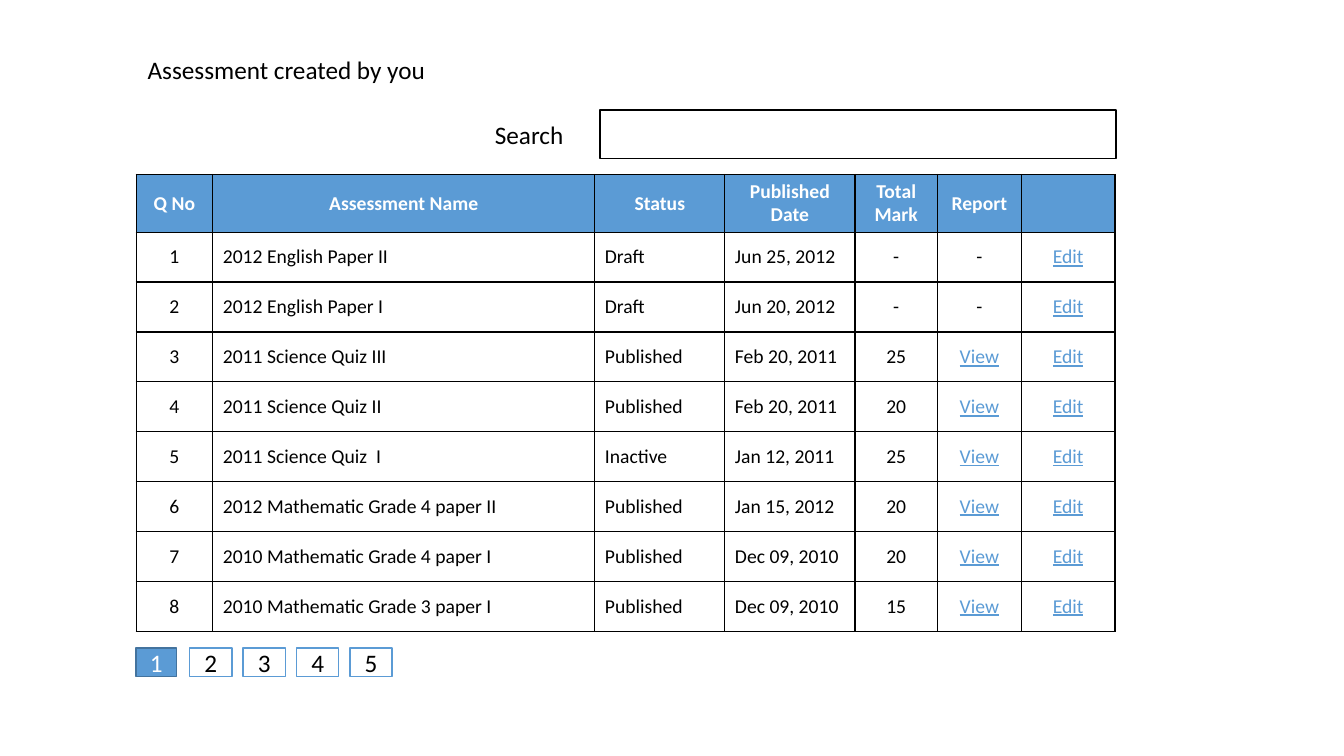
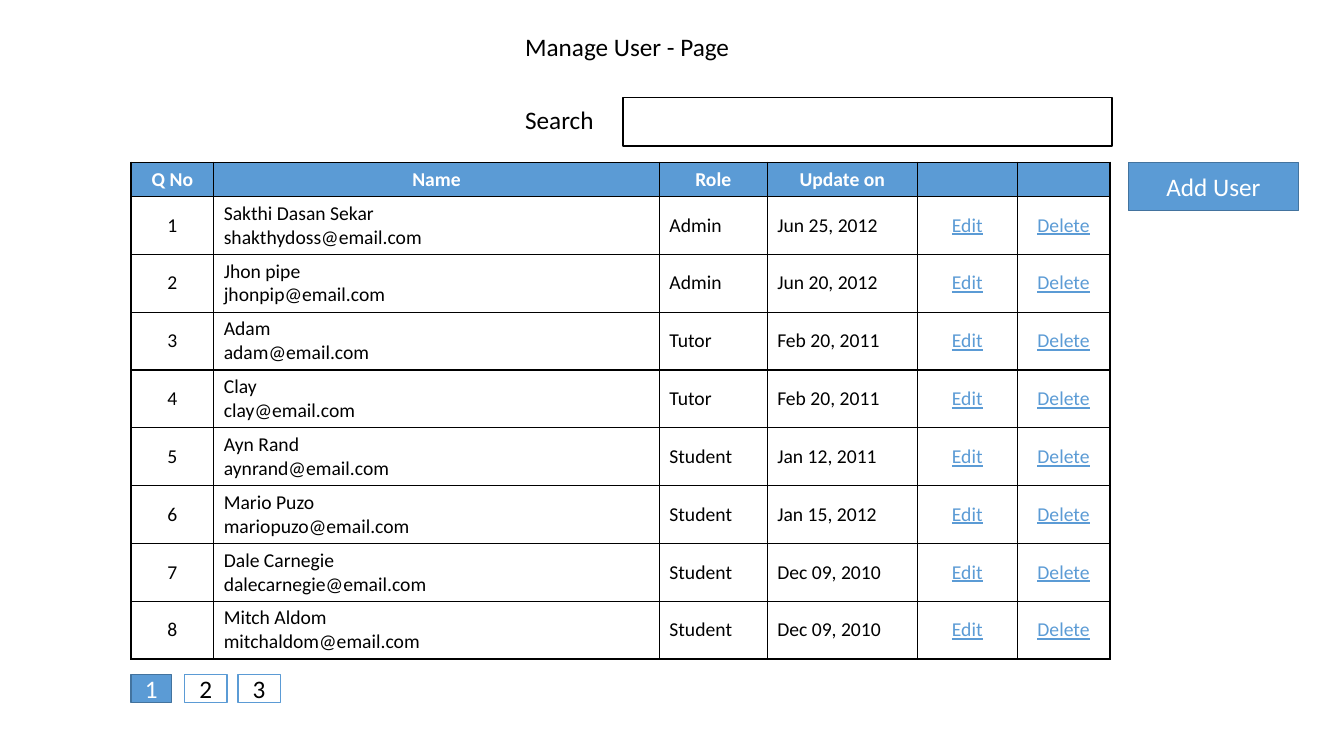
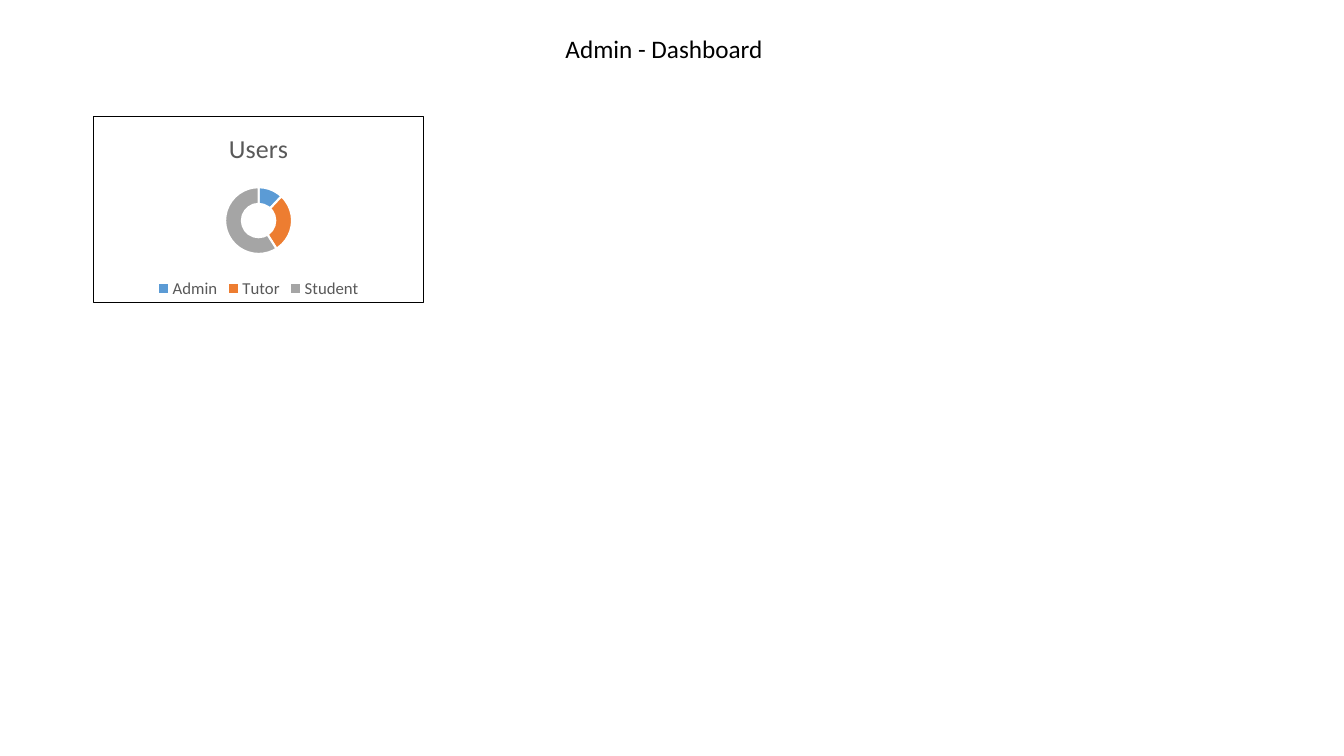
from lxml import etree
from pptx import Presentation
from pptx.chart.data import CategoryChartData
from pptx.dml.color import RGBColor
from pptx.enum.chart import XL_CHART_TYPE, XL_LEGEND_POSITION
from pptx.enum.shapes import MSO_SHAPE
from pptx.enum.text import MSO_ANCHOR, PP_ALIGN
from pptx.oxml.ns import qn
from pptx.util import Inches, Pt

LEFT, CENTER = PP_ALIGN.LEFT, PP_ALIGN.CENTER
MIDDLE, TOP = MSO_ANCHOR.MIDDLE, MSO_ANCHOR.TOP
RECTANGLE = MSO_SHAPE.RECTANGLE
DOUGHNUT = XL_CHART_TYPE.DOUGHNUT
LEGEND_BOTTOM = XL_LEGEND_POSITION.BOTTOM

FONT = "Calibri"
BLACK, WHITE, GRAY = "000000", "FFFFFF", "595959"
BLUE, DARK_BLUE = "5B9BD5", "43739E"
SLICE_COLORS = [BLUE, "ED7D31", "A5A5A5"]
LINKS = {"Edit", "View", "Delete"}
BODY_SIZE, TABLE_SIZE = 18, 14
PAGE_PITCH = 0.53

# Columns: header, width, alignment of the body cells
ASSESSMENT_COLUMNS = [
    ("Q No", 0.76, CENTER),
    ("Assessment Name", 3.79, LEFT),
    ("Status", 1.29, LEFT),
    ("Published\nDate", 1.29, LEFT),
    ("Total Mark", 0.82, CENTER),
    ("Report", 0.83, CENTER),
    ("", 0.93, CENTER),
]
ASSESSMENTS = [
    ("2012 English Paper II", "Draft", "Jun 25, 2012", "-", "-"),
    ("2012 English Paper I", "Draft", "Jun 20, 2012", "-", "-"),
    ("2011 Science Quiz III", "Published", "Feb 20, 2011", "25", "View"),
    ("2011 Science Quiz II", "Published", "Feb 20, 2011", "20", "View"),
    ("2011 Science Quiz  I", "Inactive", "Jan 12, 2011", "25", "View"),
    ("2012 Mathematic Grade 4 paper II", "Published", "Jan 15, 2012", "20", "View"),
    ("2010 Mathematic Grade 4 paper I", "Published", "Dec 09, 2010", "20", "View"),
    ("2010 Mathematic Grade 3 paper I", "Published", "Dec 09, 2010", "15", "View"),
]
USER_COLUMNS = [
    ("Q No", 0.82, CENTER),
    ("Name", 4.42, LEFT),
    ("Role", 1.07, LEFT),
    ("Update on", 1.49, LEFT),
    ("", 0.99, CENTER),
    ("", 0.92, CENTER),
]
USERS = [
    ("Sakthi Dasan Sekar", "shakthydoss", "Admin", "Jun 25, 2012"),
    ("Jhon pipe", "jhonpip", "Admin", "Jun 20, 2012"),
    ("Adam", "adam", "Tutor", "Feb 20, 2011"),
    ("Clay", "clay", "Tutor", "Feb 20, 2011"),
    ("Ayn Rand", "aynrand", "Student", "Jan 12, 2011"),
    ("Mario Puzo", "mariopuzo", "Student", "Jan 15, 2012"),
    ("Dale Carnegie", "dalecarnegie", "Student", "Dec 09, 2010"),
    ("Mitch Aldom", "mitchaldom", "Student", "Dec 09, 2010"),
]
MAIL_DOMAIN = "email.com"


def rgb(color):
    return RGBColor.from_string(color)


def format_font(font, size, color, bold=False, underline=False):
    font.name = FONT
    font.size = Pt(size)
    font.color.rgb = rgb(color)
    font.bold = bold
    font.underline = underline


def write_text(frame, text, size=BODY_SIZE, color=BLACK, align=LEFT,
               anchor=TOP, bold=False, underline=False):
    """Fill a text frame, one paragraph per line of text."""
    frame.vertical_anchor = anchor
    for index, line in enumerate(text.split("\n")):
        paragraph = frame.add_paragraph() if index else frame.paragraphs[0]
        paragraph.alignment = align
        if line:
            run = paragraph.add_run()
            run.text = line
            format_font(run.font, size, color, bold, underline)
        else:
            # An empty cell needs a size, or it would stretch its row.
            paragraph._p.get_or_add_endParaRPr().set("sz", str(size * 100))


def add_label(slide, text, left, top, width, align=LEFT):
    box = slide.shapes.add_textbox(
        Inches(left), Inches(top), Inches(width), Inches(0.4))
    box.text_frame.word_wrap = False
    write_text(box.text_frame, text, align=align)


def add_box(slide, left, top, width, height, text="",
            fill=WHITE, line=BLACK, color=BLACK):
    shape = slide.shapes.add_shape(
        RECTANGLE, Inches(left), Inches(top), Inches(width), Inches(height))
    shape.shadow.inherit = False
    shape.fill.solid()
    shape.fill.fore_color.rgb = rgb(fill)
    shape.line.color.rgb = rgb(line)
    shape.line.width = Pt(1)
    write_text(shape.text_frame, text, color=color, align=CENTER, anchor=MIDDLE)


def add_button(slide, text, left, top, width, height):
    add_box(slide, left, top, width, height, text, BLUE, DARK_BLUE, WHITE)


def add_search(slide, label_left, label_top, field_left, field_top, field_width):
    add_label(slide, "Search", label_left, label_top, 0.89)
    add_box(slide, field_left, field_top, field_width, 0.48)


def add_pagination(slide, left, top, count):
    """Row of page numbers, the first one being the current page."""
    add_button(slide, "1", left, top, 0.4, 0.28)
    for index in range(1, count):
        add_box(slide, left + index * PAGE_PITCH, top, 0.42, 0.28,
                str(index + 1), line=BLUE)


def add_solid_line(parent, tag, color, width):
    line = etree.SubElement(parent, qn(tag), w=str(Pt(width)))
    fill = etree.SubElement(line, qn("a:solidFill"))
    etree.SubElement(fill, qn("a:srgbClr"), val=color)


def style_cell(cell, fill):
    properties = cell._tc.get_or_add_tcPr()
    for tag in ("a:lnL", "a:lnR", "a:lnT", "a:lnB"):
        add_solid_line(properties, tag, BLACK, 1)
    cell.fill.solid()
    cell.fill.fore_color.rgb = rgb(fill)
    cell.vertical_anchor = MIDDLE


def add_list_table(slide, left, top, height, header_height, columns, records):
    """Table with a blue header and numbered records."""
    width = sum(column[1] for column in columns)
    table = slide.shapes.add_table(
        len(records) + 1, len(columns),
        Inches(left), Inches(top), Inches(width), Inches(height)).table
    row_height = (height - header_height) / len(records)
    for index, row in enumerate(table.rows):
        row.height = Inches(row_height if index else header_height)

    for position, (header, column_width, align) in enumerate(columns):
        table.columns[position].width = Inches(column_width)
        cell = table.cell(0, position)
        style_cell(cell, BLUE)
        write_text(cell.text_frame, header, size=TABLE_SIZE, color=WHITE,
                   align=CENTER, anchor=MIDDLE, bold=True)
        for number, record in enumerate(records, start=1):
            text = (str(number), *record)[position]
            is_link = text in LINKS
            cell = table.cell(number, position)
            style_cell(cell, WHITE)
            write_text(cell.text_frame, text, size=TABLE_SIZE, align=align,
                       color=BLUE if is_link else BLACK,
                       anchor=MIDDLE, underline=is_link)


def add_chart_border(chart):
    properties = etree.Element(qn("c:spPr"))
    fill = etree.SubElement(properties, qn("a:solidFill"))
    etree.SubElement(fill, qn("a:srgbClr"), val=WHITE)
    add_solid_line(properties, "a:ln", BLACK, 0.75)
    chart._chartSpace.find(qn("c:chart")).addnext(properties)


def add_doughnut(slide, left, top, width, height, title, shares):
    data = CategoryChartData()
    data.categories = list(shares)
    data.add_series(title, list(shares.values()))
    chart = slide.shapes.add_chart(
        DOUGHNUT, Inches(left), Inches(top), Inches(width), Inches(height),
        data).chart
    format_font(chart.font, 10, BLACK)
    chart.has_title = True
    write_text(chart.chart_title.text_frame, title, size=18.6, color=GRAY,
               align=CENTER)
    chart.chart_title.include_in_layout = False
    chart.has_legend = True
    chart.legend.position = LEGEND_BOTTOM
    chart.legend.include_in_layout = False
    format_font(chart.legend.font, 12, GRAY)

    plot = chart.plots[0]
    plot.vary_by_categories = True
    plot.has_data_labels = False
    for index, color in enumerate(SLICE_COLORS):
        slice_format = plot.series[0].points[index].format
        slice_format.fill.solid()
        slice_format.fill.fore_color.rgb = rgb(color)
        slice_format.line.color.rgb = rgb(WHITE)
        slice_format.line.width = Pt(1.5)
    chart._chartSpace.find(".//" + qn("c:holeSize")).set("val", "75")
    add_chart_border(chart)


def build_assessments(slide):
    records = [(*assessment, "Edit") for assessment in ASSESSMENTS]
    add_list_table(slide, 1.35, 1.73, 4.53, 0.57, ASSESSMENT_COLUMNS, records)
    add_search(slide, 4.81, 1.13, 5.95, 1.09, 5.12)
    add_pagination(slide, 1.35, 6.43, 5)
    add_label(slide, "Assessment created by you", 1.35, 0.49, 2.98, CENTER)


def build_users(slide):
    records = [(f"{name}\n{account}@{MAIL_DOMAIN}", role, date, "Edit", "Delete")
               for name, account, role, date in USERS]
    add_list_table(slide, 1.3, 1.61, 4.93, 0.34, USER_COLUMNS, records)
    add_search(slide, 5.11, 0.99, 6.18, 0.97, 4.85)
    add_pagination(slide, 1.3, 6.69, 3)
    add_button(slide, "Add User", 11.19, 1.61, 1.69, 0.48)
    add_label(slide, "Manage User - Page", 5.11, 0.26, 2.25)


def build_dashboard(slide):
    add_label(slide, "Admin - Dashboard", 5.51, 0.28, 2.18)
    add_doughnut(slide, 0.92, 1.15, 3.29, 1.86, "Users",
                 {"Admin": 12, "Tutor": 29, "Student": 59})


def main():
    presentation = Presentation()
    presentation.slide_width = Inches(13.33)
    presentation.slide_height = Inches(7.5)
    blank = presentation.slide_layouts[6]
    for build in (build_assessments, build_users, build_dashboard):
        build(presentation.slides.add_slide(blank))
    presentation.save("out.pptx")


if __name__ == "__main__":
    main()
